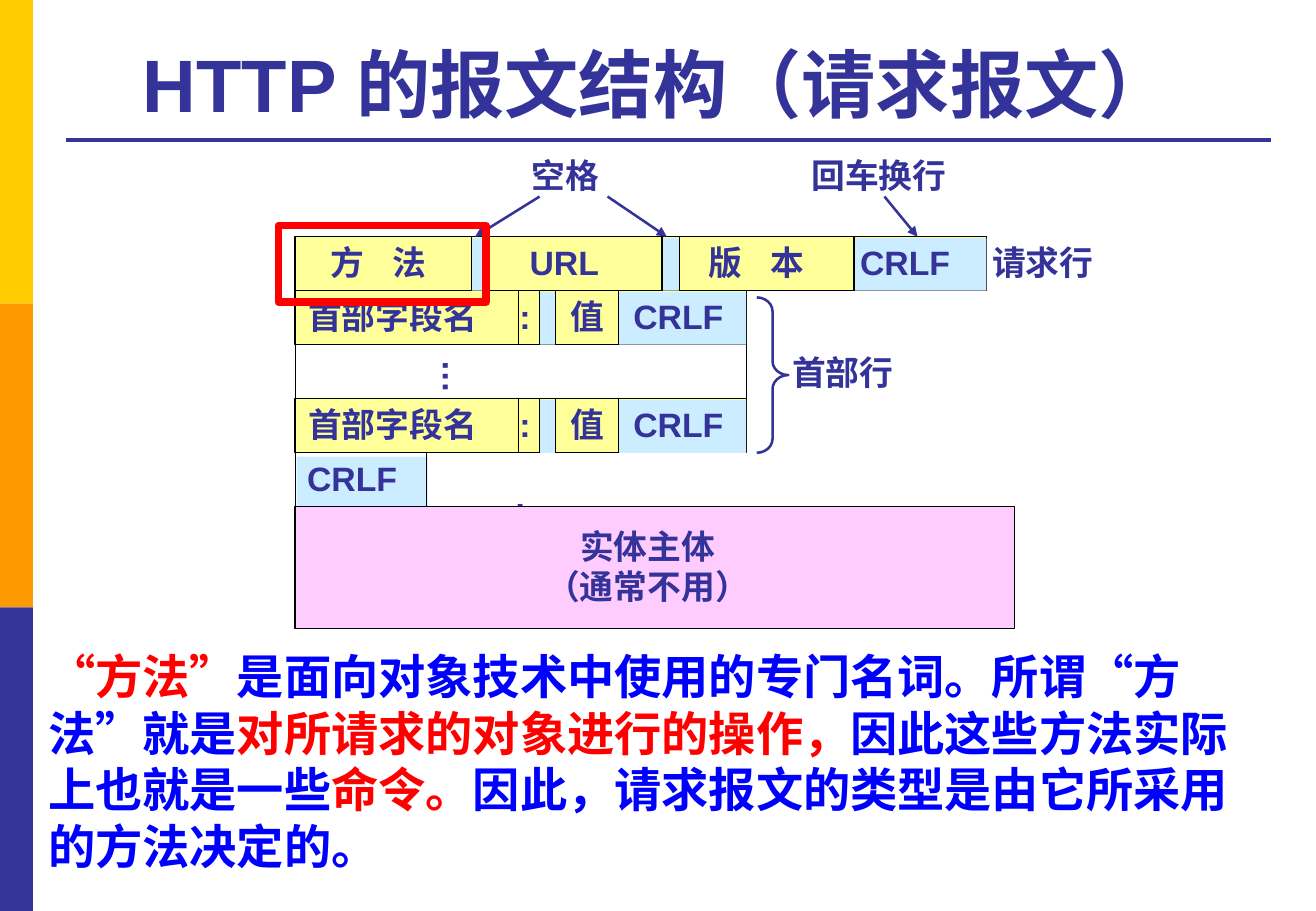
from lxml import etree
from pptx import Presentation
from pptx.dml.color import RGBColor
from pptx.enum.lang import MSO_LANGUAGE_ID as Language
from pptx.enum.shapes import MSO_CONNECTOR as Connector, MSO_SHAPE as Shape
from pptx.enum.text import MSO_ANCHOR as Anchor, MSO_AUTO_SIZE as AutoSize, PP_ALIGN as Align
from pptx.oxml.ns import qn
from pptx.util import Cm, Pt

COLORS = {"navy": "333399", "gold": "FFCC00", "orange": "FF9900", "yellow": "FFFF99",
          "sky": "CCECFF", "pink": "FFCCFF", "black": "000000", "red": "FF0000", "blue": "0000FF"}
LABEL = {"size": 20, "color": "navy", "typeface": "Arial"}
BODY = {"size": 28, "typeface": "Noto Sans CJK SC"}
ROW = 1.13
LABEL_HEIGHT = 1.12

# Positions in cm from the left edge of the message.
REQUEST_LINE = {
    "width": 14.45, "dividers": [3.68, 4.01, 7.67, 8.03, 11.68],
    "blue": [(3.68, 0.33), (7.67, 0.36), (11.68, 2.77)],
    "labels": [(0.5, 2.51, "方 法"), (4.65, 1.98, "URL"), (8.4, 2.51, "版 本"),
               (11.56, 2.41, "CRLF"), (14.32, 2.64, "请求行")]}
HEADER_LINE = {
    "width": 9.43, "dividers": [4.67, 5.1, 5.44, 6.76],
    "blue": [(5.1, 0.34), (6.76, 2.67)],
    "labels": [(0.02, 4.06, "首部字段名"), (4.44, 0.74, ":"), (5.5, 1.22, "值"), (6.82, 2.41, "CRLF")]}

EXPLANATION = [("“方法”", "red"), ("是面向对象技术中使用的专门名词。所谓“方法”就是", "blue"),
               ("对所请求的对象进行的操作，", "red"), ("因此这些方法实际上也就是一些", "blue"),
               ("命令。", "red"), ("因此，请求报文的类型是由它所采用的方法决定的。", "blue")]


def rgb(name):
    return RGBColor.from_string(COLORS[name])


def add_box(page, left, top, width, height, fill=None, line=None, weight=0.75, kind=Shape.RECTANGLE):
    box = page.shapes.add_shape(kind, Cm(left), Cm(top), Cm(width), Cm(height))
    box.shadow.inherit = False
    if fill:
        box.fill.solid()
        box.fill.fore_color.rgb = rgb(fill)
    else:
        box.fill.background()
    if line:
        box.line.color.rgb = rgb(line)
        box.line.width = Pt(weight)
    else:
        box.line.fill.background()
    return box


def add_line(page, start, end, color="black", weight=0.75, arrow=False):
    line = page.shapes.add_connector(Connector.STRAIGHT, *(Cm(value) for value in (*start, *end)))
    line.line.color.rgb = rgb(color)
    line.line.width = Pt(weight)
    if arrow:
        etree.SubElement(line.line._get_or_add_ln(), qn("a:tailEnd"), type="triangle")
    etree.SubElement(line._element.spPr, qn("a:effectLst"))


def add_run(para, text, size, color, typeface):
    run = para.add_run()
    run.text = text
    settings = {"name": typeface, "size": Pt(size), "bold": True,
                "language_id": Language.SIMPLIFIED_CHINESE}
    for name, value in settings.items():
        setattr(run.font, name, value)
    run.font.color.rgb = rgb(color)
    properties = run._r.get_or_add_rPr()
    etree.SubElement(properties, qn("a:ea"), typeface=typeface)
    if " " in text.strip() and size == LABEL["size"]:
        properties.set("spc", "556")


def add_label(page, left, top, width, *lines, height=LABEL_HEIGHT, align=Align.LEFT):
    box = page.shapes.add_textbox(Cm(left), Cm(top), Cm(width), Cm(height))
    frame = box.text_frame
    frame.word_wrap = False
    frame.auto_size = AutoSize.SHAPE_TO_FIT_TEXT
    for index, text in enumerate(lines):
        para = frame.add_paragraph() if index else frame.paragraphs[0]
        para.alignment = align
        para.line_spacing = Pt(24)
        add_run(para, text, **LABEL)
    return box


def add_frame(page, height):
    """Draw the side bar and the rule under the title."""
    band = height / 3
    for index, color in enumerate(("gold", "orange", "navy")):
        add_box(page, 0, index * band, 0.69, band, color)
    add_line(page, (1.37, 2.92), (26.57, 2.92), "navy", 2.25)


def add_title(page, left, top, width, height):
    title = page.shapes.title
    title.left, title.top, title.width, title.height = Cm(left), Cm(top), Cm(width), Cm(height)
    frame = title.text_frame
    frame.auto_size = AutoSize.NONE
    frame.vertical_anchor = Anchor.BOTTOM
    para = frame.paragraphs[0]
    para.alignment = Align.CENTER
    add_run(para, "HTTP 的报文结构（请求报文） ", 44, "navy", "Arial")


def add_message_line(page, left, top, width, dividers, blue, labels):
    add_box(page, left, top, width, ROW, "yellow", "black")
    for offset, part_width in blue:
        add_box(page, left + offset, top + 0.03, part_width, ROW - 0.03, "sky")
    for offset in dividers:
        add_line(page, (left + offset, top), (left + offset, top + ROW))
    for offset, label_width, text in labels:
        add_label(page, left + offset, top - 0.02, label_width, text)


def add_message(page, left, top):
    rows = [top + index * ROW for index in range(6)]
    for index in (3, 1):
        add_message_line(page, left, rows[index], **HEADER_LINE)
    add_message_line(page, left, rows[0], **REQUEST_LINE)

    add_label(page, left + 2.31, rows[2] + 0.1, 1.22, "…").rotation = 270
    add_box(page, left + 0.03, rows[4] + 0.08, 2.74, ROW - 0.08, "sky")
    add_label(page, left, rows[4] - 0.02, 2.41, "CRLF")
    for offset, row in ((0, 2), (HEADER_LINE["width"], 2), (0, 4), (2.74, 4)):
        add_line(page, (left + offset, rows[row]), (left + offset, rows[row] + ROW))

    brace = add_box(page, left + 9.65, rows[1] + 0.14, 0.66, 3.25, None, "navy", 1.5, Shape.RIGHT_BRACE)
    brace.adjustments[0] = 0.44
    add_label(page, left + 10.14, rows[2] + 0.03, 2.64, "首部行")

    add_label(page, left + 4.34, rows[5] - 0.53, 0.74, ":")
    add_box(page, left, rows[5], 15.04, 2.54, "pink", "black")
    add_label(page, left + 4.98, rows[5] + 0.26, 4.78, "实体主体", "（通常不用）",
              height=1.96, align=Align.CENTER)


def add_callouts(page, top):
    add_label(page, 10.87, top, 1.93, "空格")
    add_label(page, 16.71, top, 3.35, "回车换行")
    for start, end in ((12.7, 13.94), (11.28, 9.93), (18.49, 19.18)):
        add_line(page, (start, top + 0.99), (end, top + 1.83), "navy", 1.5, arrow=True)


def add_explanation(page, left, top, width, height):
    frame = page.shapes.add_textbox(Cm(left), Cm(top), Cm(width), Cm(height)).text_frame
    frame.word_wrap = True
    para = frame.paragraphs[0]
    para.line_spacing = Pt(33.6)
    for text, color in EXPLANATION:
        add_run(para, text, color=color, **BODY)


def main():
    deck = Presentation()
    deck.slide_width, deck.slide_height = Cm(27.51), Cm(19.05)
    page = deck.slides.add_slide(deck.slide_layouts[5])
    add_frame(page, 19.05)
    add_title(page, 1.4, 0.53, 25.15, 2.26)
    add_message(page, 6.17, 4.95)
    add_callouts(page, 3.12)
    add_explanation(page, 0.76, 13.41, 26.01, 5)
    add_box(page, 5.82, 4.72, 4.34, 1.6, None, "red", 4.5)
    deck.save("out.pptx")


if __name__ == "__main__":
    main()
